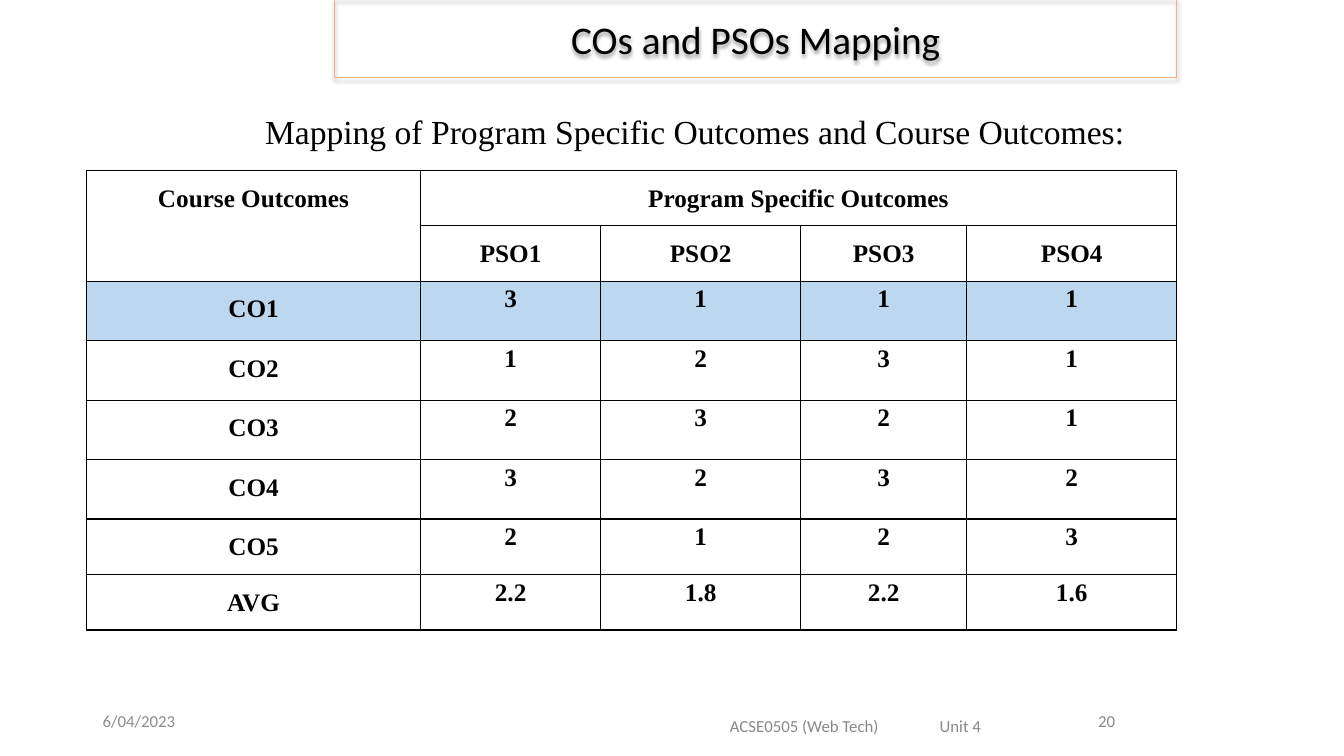
from dataclasses import dataclass

from lxml.etree import SubElement
from pptx import Presentation
from pptx.dml.color import RGBColor
from pptx.enum.shapes import MSO_SHAPE
from pptx.enum.text import MSO_ANCHOR, PP_ALIGN
from pptx.oxml.ns import qn
from pptx.util import Inches, Pt


@dataclass(frozen=True)
class Theme:
    text: str = "000000"
    footer: str = "888888"
    date: str = "8C8C8C"
    title_line: str = "F4B183"
    highlight: str = "BDD7EE"
    heading_font: str = "Calibri"
    body_font: str = "Times New Roman"
    title_size: int = 28
    subtitle_size: int = 24
    table_size: int = 18
    footer_size: int = 12


THEME = Theme()

COLUMN_WIDTHS = [3.31, 1.79, 1.98, 1.65, 2.08]
ROW_HEIGHTS = [0.55] * 2 + [0.59] * 4 + [0.55] * 2
HEADINGS = [
    ["Course Outcomes", "Program Specific Outcomes", "", "", ""],
    ["", "PSO1", "PSO2", "PSO3", "PSO4"],
]
SCORES = [
    ["CO1", "3", "1", "1", "1"],
    ["CO2", "1", "2", "3", "1"],
    ["CO3", "2", "3", "2", "1"],
    ["CO4", "3", "2", "3", "2"],
    ["CO5", "2", "1", "2", "3"],
    ["AVG", "2.2", "1.8", "2.2", "1.6"],
]
HIGHLIGHTED = "CO1"


def inches(box):
    return [Inches(length) for length in box]


def apply(target, formats):
    for name, value in formats.items():
        setattr(target, name, value)


def write(frame, text, size, font, color=THEME.text, align=PP_ALIGN.LEFT, bold=False):
    paragraph = frame.paragraphs[0]
    paragraph.alignment = align
    run = paragraph.add_run()
    run.text = text
    apply(run.font, {"size": Pt(size), "name": font, "bold": bold})
    run.font.color.rgb = RGBColor.from_string(color)
    return paragraph


def add_title(slide, box, text):
    banner = slide.shapes.add_shape(MSO_SHAPE.RECTANGLE, *inches(box))
    banner.fill.background()
    banner.line.color.rgb = RGBColor.from_string(THEME.title_line)
    banner.line.width = Pt(0.75)
    # Soft shadow straight below
    banner.shadow.inherit = False
    effects = banner._element.spPr.find(qn("a:effectLst"))
    shadow = SubElement(effects, qn("a:outerShdw"), blurRad=str(Pt(3.1)),
                        dist=str(Pt(1.6)), dir="5400000", rotWithShape="0")
    shade = SubElement(shadow, qn("a:srgbClr"), val=THEME.text)
    SubElement(shade, qn("a:alpha"), val="38000")
    banner.text_frame.vertical_anchor = MSO_ANCHOR.MIDDLE
    write(banner.text_frame, text, THEME.title_size, THEME.heading_font, align=PP_ALIGN.CENTER)


def add_subtitle(slide, box, text):
    frame = slide.shapes.add_textbox(*inches(box)).text_frame
    frame.word_wrap = True
    write(frame, text, THEME.subtitle_size, THEME.body_font)


def add_borders(cell):
    properties = cell._tc.get_or_add_tcPr()
    for side in ("a:lnL", "a:lnR", "a:lnT", "a:lnB"):
        border = SubElement(properties, qn(side), w=str(Pt(1)))
        fill = SubElement(border, qn("a:solidFill"))
        SubElement(fill, qn("a:srgbClr"), val=THEME.text)


def fill_cell(cell, text, padding, highlighted):
    add_borders(cell)
    if highlighted:
        cell.fill.solid()
        cell.fill.fore_color.rgb = RGBColor.from_string(THEME.highlight)
    else:
        cell.fill.background()
    apply(cell, {
        "margin_left": Inches(0.07), "margin_right": Inches(0.07),
        "margin_top": Inches(padding), "margin_bottom": Inches(padding),
    })
    if text:
        paragraph = write(cell.text_frame, text, THEME.table_size, THEME.body_font,
                          align=PP_ALIGN.CENTER, bold=True)
        paragraph.line_spacing = 1.15


def add_mapping_table(slide, box):
    rows = HEADINGS + SCORES
    table = slide.shapes.add_table(len(rows), len(COLUMN_WIDTHS), *inches(box)).table
    apply(table, {"first_row": False, "horz_banding": False})
    for column, width in zip(table.columns, COLUMN_WIDTHS):
        column.width = Inches(width)
    for row, height in zip(table.rows, ROW_HEIGHTS):
        row.height = Inches(height)
    for r, values in enumerate(rows):
        for c, text in enumerate(values):
            is_score = r >= len(HEADINGS) and c > 0
            fill_cell(table.cell(r, c), text, 0 if is_score else 0.1, values[0] == HIGHLIGHTED)
    # Headings that span several cells
    table.cell(0, 0).merge(table.cell(1, 0))
    table.cell(0, 1).merge(table.cell(0, len(COLUMN_WIDTHS) - 1))


def add_footer_text(slide, box, text, color=THEME.footer, align=PP_ALIGN.LEFT,
                    indent=0.1, tab=None):
    frame = slide.shapes.add_textbox(*inches(box)).text_frame
    apply(frame, {"word_wrap": True, "vertical_anchor": MSO_ANCHOR.MIDDLE,
                  "margin_left": Inches(indent)})
    if tab:
        stops = SubElement(frame.paragraphs[0]._p.get_or_add_pPr(), qn("a:tabLst"))
        SubElement(stops, qn("a:tab"), pos=str(Inches(tab)), algn="l")
    write(frame, text, THEME.footer_size, THEME.heading_font, color, align)


def add_footer(slide, box):
    left, top, width, height = box
    add_footer_text(slide, (left, top, 3, height), "6/04/2023", THEME.date)
    add_footer_text(slide, (left + 3.41, top + 0.05, 5.5, height),
                    "ACSE0505 (Web Tech)\tUnit 4", indent=2.91, tab=2.08)
    number_width = 2.33
    add_footer_text(slide, (left + width - number_width, top, number_width, height),
                    "20", align=PP_ALIGN.RIGHT)


def main():
    deck = Presentation()
    apply(deck, {"slide_width": Inches(13.33), "slide_height": Inches(7.5)})
    slide = deck.slides.add_slide(deck.slide_layouts[6])
    add_title(slide, (3.32, 0, 8.35, 0.77), "COs and PSOs Mapping")
    add_subtitle(slide, (2.53, 1.05, 9.15, 0.91),
                 "Mapping of Program Specific Outcomes and Course Outcomes:")
    add_mapping_table(slide, (0.86, 1.69, sum(COLUMN_WIDTHS), sum(ROW_HEIGHTS)))
    add_footer(slide, (0.92, 6.95, 10.24, 0.4))
    deck.save("out.pptx")


if __name__ == "__main__":
    main()
